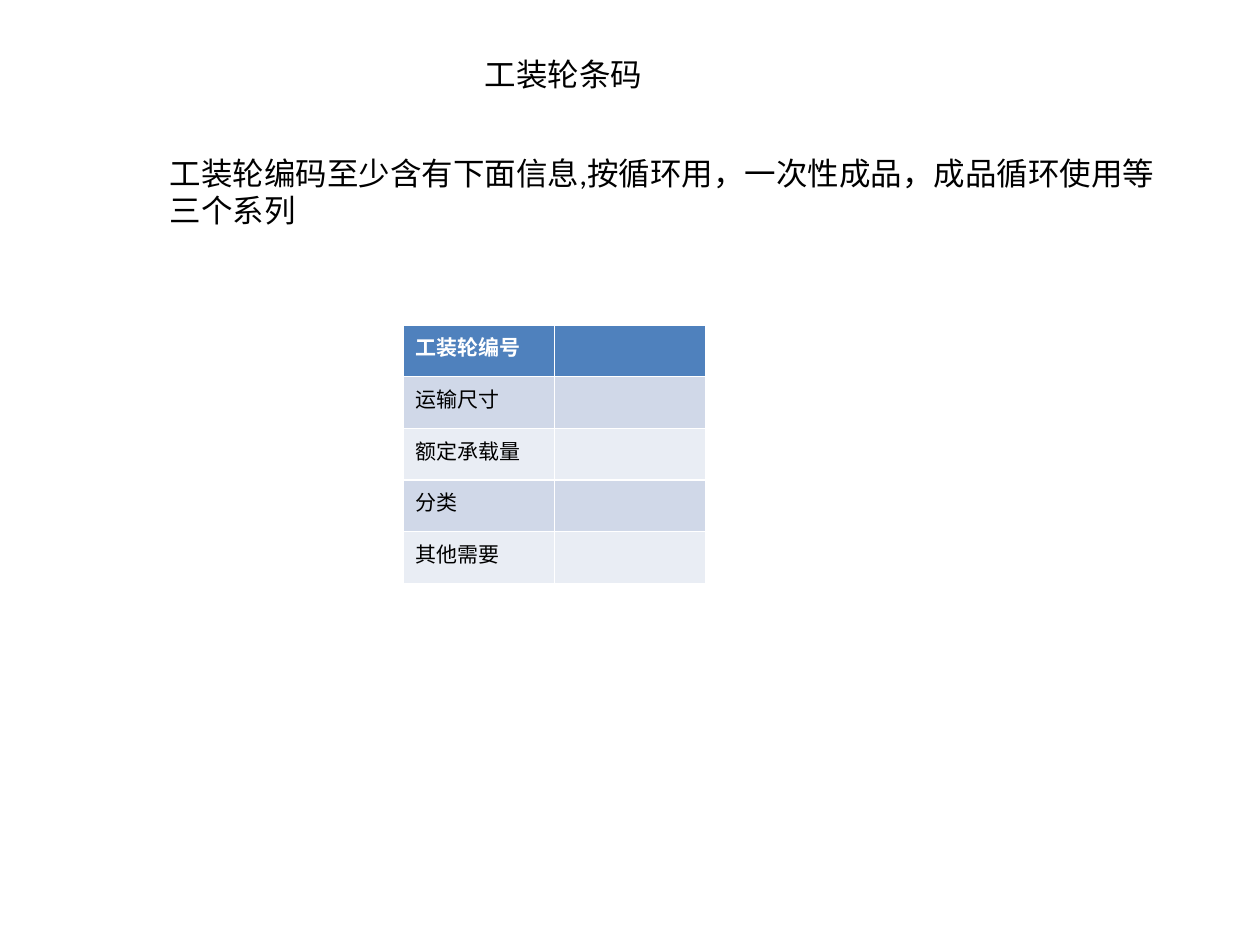
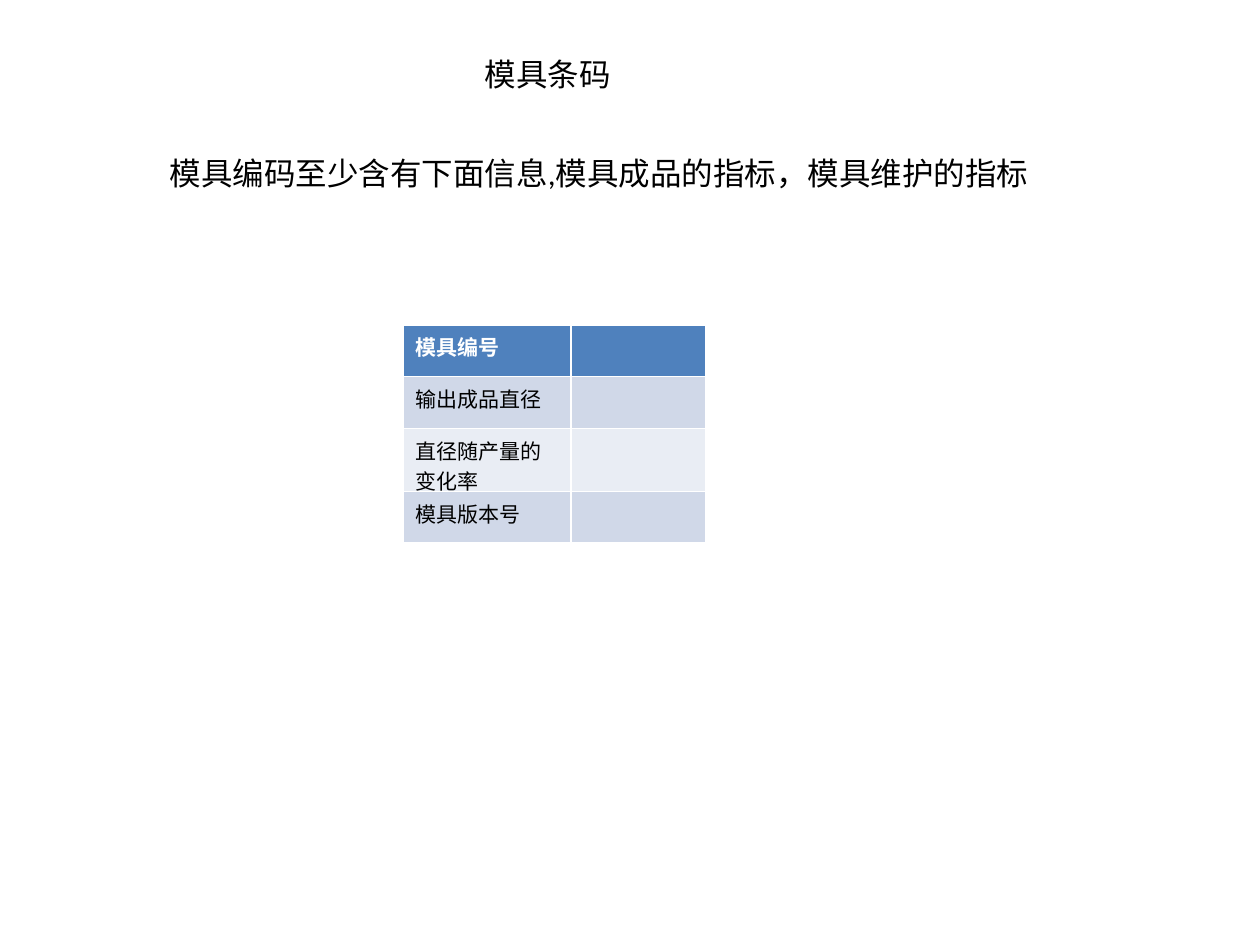
import pptx
import pptx.util
import pptx.dml.color
import pptx.enum.text

Inches = pptx.util.Inches
RGB = pptx.dml.color.RGBColor

# Content
PAGES = [
    {
        "title": "工装轮条码", "width": 1.46,
        "intro": "工装轮编码至少含有下面信息,按循环用，一次性成品，成品循环使用等三个系列",
        "height": 0.71,
        "cols": (1.2, 1.2),
        "rows": ["工装轮编号", "运输尺寸", "额定承载量", "分类", "其他需要"],
    },
    {
        "title": "模具条码", "width": 1.21,
        "intro": "模具编码至少含有下面信息,模具成品的指标，模具维护的指标",
        "height": 0.4,
        "cols": (1.33, 1.07),
        "rows": ["模具编号", "输出成品直径", "直径随产量的变化率", "模具版本号"],
    },
]

# Shared look
WHITE = RGB(0xFF, 0xFF, 0xFF)
BLACK = RGB(0, 0, 0)
BLUE = RGB(0x4F, 0x81, 0xBD)
BANDS = (RGB(0xE9, 0xED, 0xF4), RGB(0xD0, 0xD8, 0xE8))
ROW = 0.41
PLAIN = {"name": "Calibri", "size": pptx.util.Pt(18), "bold": False}
BODY = {**PLAIN, "size": pptx.util.Pt(12)}
HEAD = {**BODY, "bold": True}


def write(frame, text, style, color):
    run = frame.paragraphs[0].add_run()
    run.text = text
    for key, value in style.items():
        setattr(run.font, key, value)
    run.font.color.rgb = color


def add_text(slide, text, box, wrap):
    frame = slide.shapes.add_textbox(*map(Inches, box)).text_frame
    frame.word_wrap = wrap
    frame.auto_size = pptx.enum.text.MSO_AUTO_SIZE.SHAPE_TO_FIT_TEXT
    write(frame, text, PLAIN, BLACK)


def add_grid(slide, labels, widths):
    # The default table style supplies the white rules
    box = (3.2, 2.58, sum(widths), ROW * len(labels))
    table = slide.shapes.add_table(
        len(labels), len(widths), *map(Inches, box)).table
    for col, width in zip(table.columns, widths):
        col.width = Inches(width)
    for i, label in enumerate(labels):
        table.rows[i].height = Inches(ROW)
        for cell in table.rows[i].cells:
            cell.fill.solid()
            cell.fill.fore_color.rgb = BANDS[i % 2] if i else BLUE
        write(table.cell(i, 0).text_frame, label,
              BODY if i else HEAD, BLACK if i else WHITE)


# Slides
deck = pptx.Presentation()
deck.slide_width, deck.slide_height = Inches(10), Inches(7.5)
for page in PAGES:
    slide = deck.slides.add_slide(deck.slide_layouts[6])
    add_grid(slide, page["rows"], page["cols"])
    add_text(slide, page["intro"], (1.25, 1.17, 8.05, page["height"]), True)
    add_text(slide, page["title"], (3.75, 0.39, page["width"], 0.4), False)

deck.save("out.pptx")
